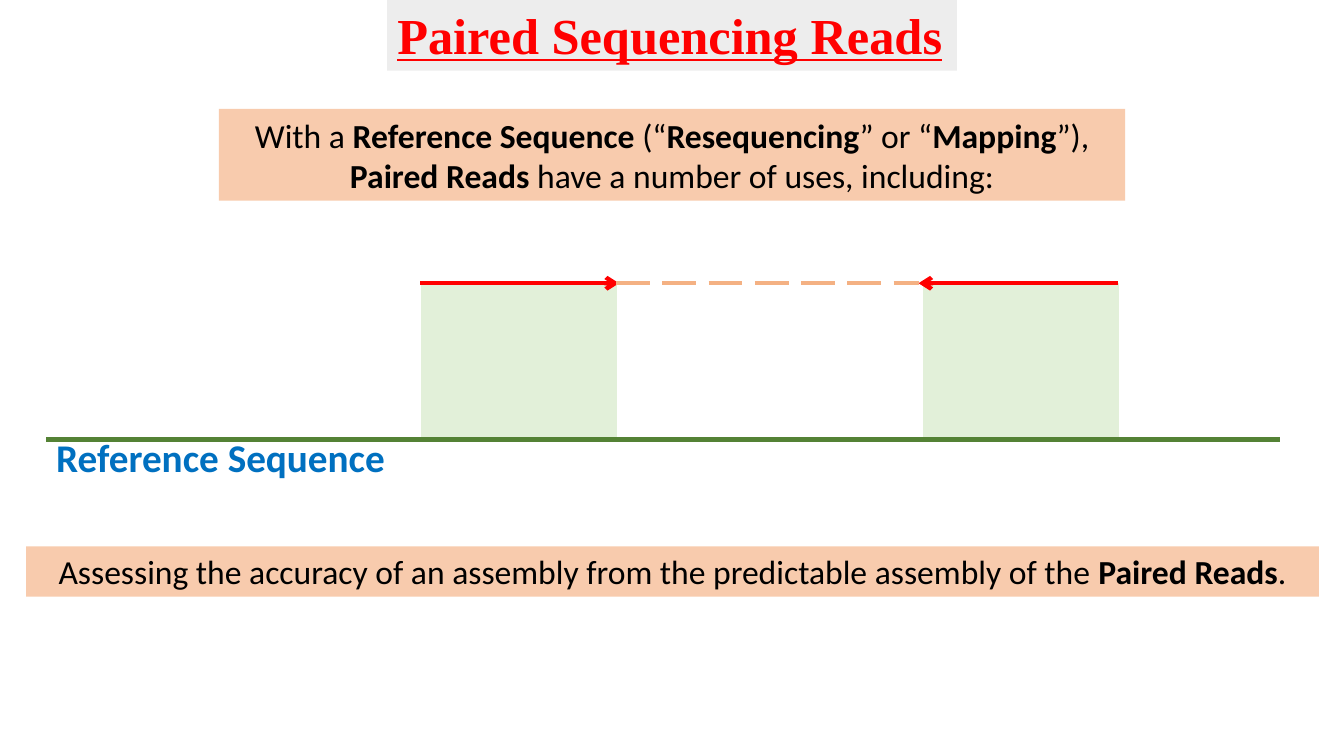
from lxml import etree
from pptx import Presentation
from pptx.dml.color import RGBColor
from pptx.enum.dml import MSO_LINE, MSO_PATTERN
from pptx.enum.shapes import MSO_CONNECTOR, MSO_SHAPE
from pptx.enum.text import MSO_ANCHOR, MSO_AUTO_SIZE, PP_ALIGN
from pptx.oxml.ns import qn
from pptx.util import Inches, Pt

RECTANGLE = MSO_SHAPE.RECTANGLE
STRAIGHT = MSO_CONNECTOR.STRAIGHT
LONG_DASH = MSO_LINE.LONG_DASH
STRIPES = MSO_PATTERN.DARK_VERTICAL
LEFT, CENTER = PP_ALIGN.LEFT, PP_ALIGN.CENTER
MIDDLE, TOP = MSO_ANCHOR.MIDDLE, MSO_ANCHOR.TOP
FIXED_SIZE = MSO_AUTO_SIZE.NONE
TITLE_ONLY = 5

READ_WIDTH = 1.94
READ_TOP = 2.81
REFERENCE_TOP = 4.36
REFERENCE_LEFT, REFERENCE_RIGHT = 0.46, 12.7
FORWARD_LEFT, REVERSE_LEFT = 4.17, 9.15
FORWARD_TIP, REVERSE_TIP = 6.14, 9.11


def color(hex_string):
    return RGBColor.from_string(hex_string)


class ReadsSlide:
    body_font = "Calibri"
    title_font = "Times New Roman"
    black = "000000"
    red = "FF0000"
    blue = "0070C0"
    green = "548235"
    pale_green = "E2F0D9"
    white = "FFFFFF"
    peach = "F8CBAD"
    orange = "F4B183"
    gray = "EDEDED"
    line_width = 3

    def __init__(self, presentation):
        layout = presentation.slide_layouts[TITLE_ONLY]
        self.slide = presentation.slides.add_slide(layout)

    def add_text(self, shape, lines, size, hex_string, font, align, anchor):
        """Fill a shape with lines, each a list of (text, bold) runs."""
        frame = shape.text_frame
        frame.word_wrap = True
        frame.auto_size = FIXED_SIZE
        frame.vertical_anchor = anchor
        for index, runs in enumerate(lines):
            paragraph = frame.add_paragraph() if index else frame.paragraphs[0]
            paragraph.alignment = align
            for text, bold in runs:
                run = paragraph.add_run()
                run.text = text
                run.font.name = font
                run.font.size = Pt(size)
                run.font.bold = bold
                run.font.color.rgb = color(hex_string)

    def title(self, text, left, top, width, height):
        shape = self.slide.shapes.title
        shape.left, shape.top = Inches(left), Inches(top)
        shape.width, shape.height = Inches(width), Inches(height)
        shape.fill.solid()
        shape.fill.fore_color.rgb = color(self.gray)
        self.add_text(shape, [[(text, True)]], 36, self.red, self.title_font, LEFT, TOP)
        shape.text_frame.paragraphs[0].runs[0].font.underline = True

    def rectangle(self, left, top, width, height):
        shape = self.slide.shapes.add_shape(
            RECTANGLE, Inches(left), Inches(top), Inches(width), Inches(height))
        shape.shadow.inherit = False
        shape.line.fill.background()
        return shape

    def mapped_region(self, left):
        """Striped band dropping from a read to the reference sequence."""
        shape = self.rectangle(left, READ_TOP, READ_WIDTH, REFERENCE_TOP - READ_TOP)
        shape.fill.patterned()
        shape.fill.pattern = STRIPES
        shape.fill.fore_color.rgb = color(self.pale_green)
        shape.fill.back_color.rgb = color(self.white)

    def banner(self, lines, left, top, width, height):
        shape = self.rectangle(left, top, width, height)
        shape.fill.solid()
        shape.fill.fore_color.rgb = color(self.peach)
        self.add_text(shape, lines, 24, self.black, self.body_font, CENTER, MIDDLE)

    def label(self, text, left, top, width, height):
        box = self.slide.shapes.add_textbox(
            Inches(left), Inches(top), Inches(width), Inches(height))
        self.add_text(box, [[(text, True)]], 28, self.blue, self.body_font, LEFT, TOP)

    def line(self, start, end, y, hex_string, dash=None, arrow=False):
        connector = self.slide.shapes.add_connector(
            STRAIGHT, Inches(start), Inches(y), Inches(end), Inches(y))
        connector.line.color.rgb = color(hex_string)
        connector.line.width = Pt(self.line_width)
        if dash is not None:
            connector.line.dash_style = dash
        properties = connector._element.spPr
        if arrow:
            etree.SubElement(properties.get_or_add_ln(), qn("a:tailEnd"), type="arrow")
        etree.SubElement(properties, qn("a:effectLst"))


def main():
    presentation = Presentation()
    presentation.slide_width = Inches(13.33)
    presentation.slide_height = Inches(7.5)
    reads = ReadsSlide(presentation)

    for left in (REVERSE_LEFT, FORWARD_LEFT):
        reads.mapped_region(left)

    reads.title("Paired Sequencing Reads", 3.84, -0.01, 5.65, 0.71)
    reads.banner([
        [("With a ", False), ("Reference Sequence ", True), ("(“", False),
         ("Resequencing", True), ("” or “", False), ("Mapping", True), ("”),", False)],
        [("Paired Reads", True), (" have a number of uses, including:", False)],
    ], 2.17, 1.08, 8.99, 0.91)

    reads.line(REFERENCE_LEFT, REFERENCE_RIGHT, REFERENCE_TOP, reads.green)
    reads.label("Reference Sequence", REFERENCE_LEFT, 4.25,
                REFERENCE_RIGHT - REFERENCE_LEFT, 0.57)

    reads.line(FORWARD_LEFT, FORWARD_TIP, READ_TOP, reads.red, arrow=True)
    reads.line(REVERSE_LEFT + READ_WIDTH, REVERSE_TIP, READ_TOP, reads.red, arrow=True)
    reads.line(FORWARD_LEFT + READ_WIDTH, REVERSE_TIP, READ_TOP, reads.orange, LONG_DASH)

    reads.banner([
        [("Assessing the accuracy of an assembly from the predictable assembly of the ", False),
         ("Paired Reads", True), (".", False)],
    ], 0.26, 5.42, 12.82, 0.5)

    presentation.save("out.pptx")


if __name__ == "__main__":
    main()
